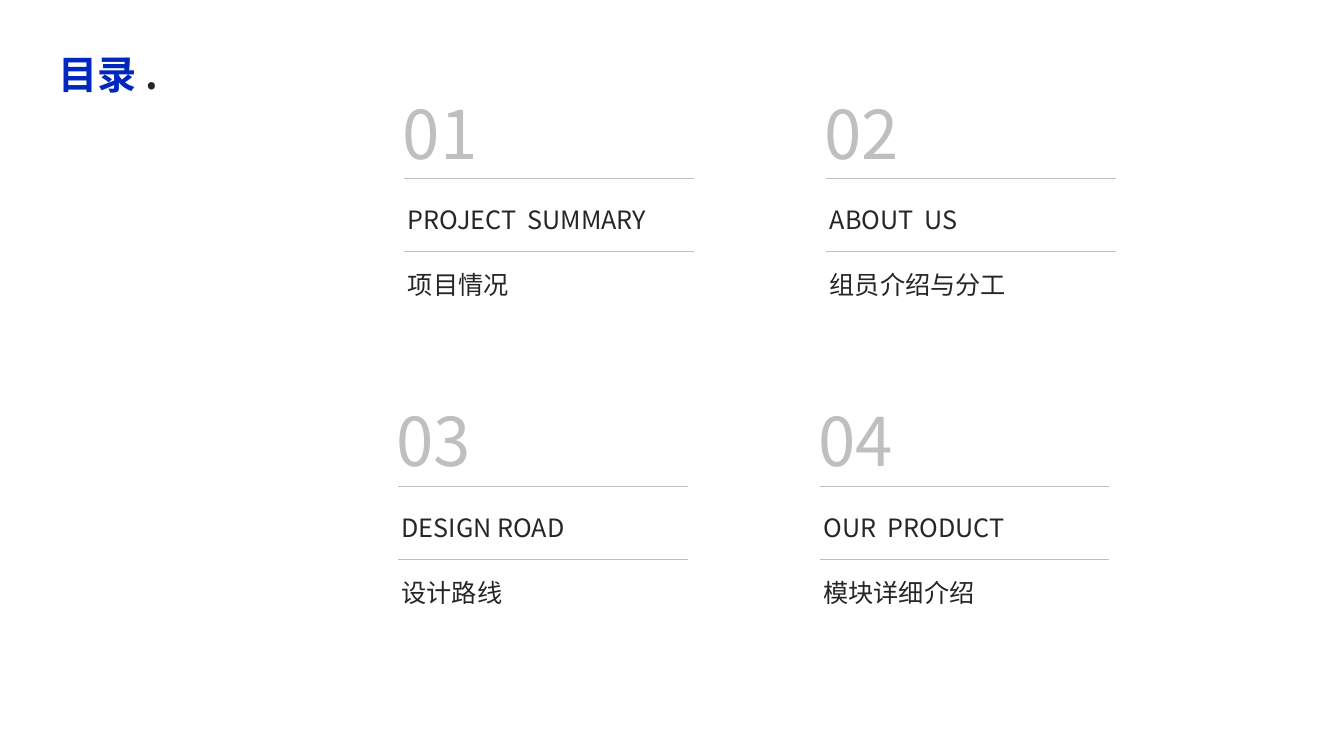
from lxml.etree import SubElement
from pptx import Presentation
from pptx.dml.color import RGBColor
from pptx.enum.shapes import MSO_CONNECTOR
from pptx.enum.text import MSO_ANCHOR, MSO_AUTO_SIZE, PP_ALIGN
from pptx.oxml.ns import qn
from pptx.util import Cm, Pt

TITLE = [("目录 ", "blue"), (".", "ink")]
SECTIONS = [
    ("01", "PROJECT  SUMMARY", "项目情况"),
    ("02", "ABOUT  US", "组员介绍与分工"),
    ("03", "DESIGN ROAD", "设计路线"),
    ("04", "OUR  PRODUCT", "模块详细介绍"),
]
COLORS = {"blue": "0028BE", "ink": "262626", "gray": "BFBFBF"}
FONT = "Noto Sans CJK SC"

LEFT, TOP = 10.19, 4.5          # first rule of the first section, in cm
COL_STEP, ROW_STEP = 10.63, 7.76
ROW_SHIFT = -0.16               # the lower row sits slightly to the left
RULE_WIDTH, RULE_GAP = 7.3, 1.83


def color(name):
    return RGBColor.from_string(COLORS[name])


def set_font(font, size, name, bold=False):
    font.size, font.bold, font.name = Pt(size), bold, FONT
    font.color.rgb = color(name)
    SubElement(font._element, qn("a:ea")).set("typeface", FONT)


def prepare(tf):
    tf.word_wrap = True
    tf.auto_size = MSO_AUTO_SIZE.NONE
    tf.vertical_anchor = MSO_ANCHOR.TOP
    return tf


def add_text(s, x, y, w, h):
    return prepare(s.shapes.add_textbox(Cm(x), Cm(y), Cm(w), Cm(h)).text_frame)


def add_rule(s, x, y):
    line = s.shapes.add_connector(
        MSO_CONNECTOR.STRAIGHT, Cm(x), Cm(y), Cm(x + RULE_WIDTH), Cm(y))
    line.line.color.rgb = color("gray")
    line.line.width = Pt(0.5)
    SubElement(line._element.spPr, qn("a:effectLst"))


def add_section(s, x, y, number, english, chinese):
    p = add_text(s, x - 0.66, y - 2.31, 3.12, 2.39).paragraphs[0]
    p.text, p.alignment = number, PP_ALIGN.CENTER
    set_font(p.font, 48, "gray")

    add_rule(s, x, y)
    add_rule(s, x, y + RULE_GAP)

    tf = add_text(s, x - 0.16, y + 0.38, 8.43, 2.8)
    tf.text = f"{english}\n{chinese}"
    for p in tf.paragraphs:
        p.line_spacing = 1.2
        set_font(p.font, 18, "ink")
    tf.paragraphs[1].space_before = Pt(20)


prs = Presentation()
prs.slide_width, prs.slide_height = Cm(33.87), Cm(19.05)
s = prs.slides.add_slide(prs.slide_layouts[5])

title = s.shapes.title
title.left, title.top, title.width, title.height = Cm(1.22), Cm(1.14), Cm(4.45), Cm(1.52)
p = prepare(title.text_frame).paragraphs[0]
p.alignment = PP_ALIGN.LEFT
for text, name in TITLE:
    r = p.add_run()
    r.text = text
    set_font(r.font, 28, name, bold=True)

for i, section in enumerate(SECTIONS):
    row, col = divmod(i, 2)
    add_section(s, LEFT + col * COL_STEP + row * ROW_SHIFT, TOP + row * ROW_STEP, *section)

prs.save("out.pptx")
